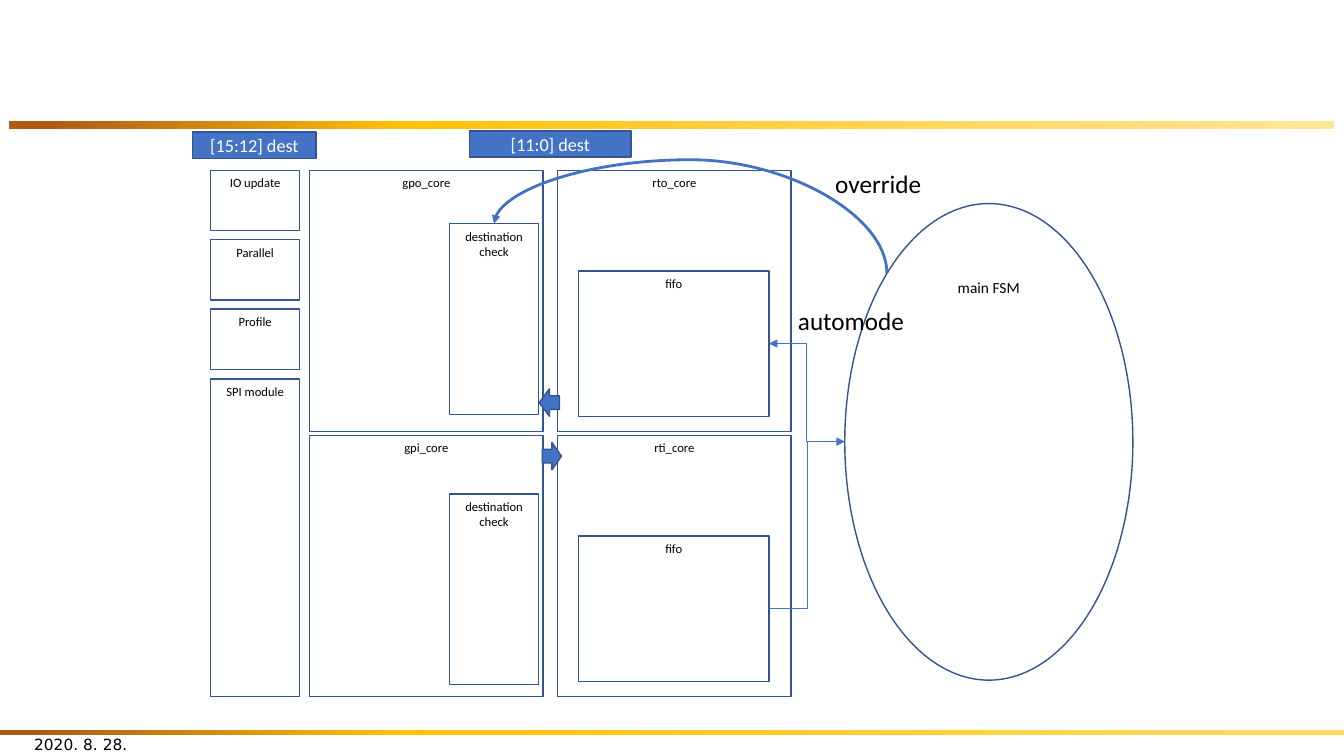
from lxml.etree import SubElement
from copy import deepcopy
from pptx import Presentation
from pptx.dml.color import RGBColor
from pptx.enum.shapes import MSO_CONNECTOR as LINK, MSO_SHAPE as SHAPE
from pptx.enum.text import MSO_ANCHOR as ANCHOR, MSO_AUTO_SIZE as AUTO, PP_ALIGN as ALIGN
from pptx.oxml.ns import qn
from pptx.util import Cm, Pt

BLUE = RGBColor(0x44, 0x72, 0xC4)
NAVY = RGBColor(0x32, 0x54, 0x91)
BLACK = RGBColor(0x00, 0x00, 0x00)
WHITE = RGBColor(0xFF, 0xFF, 0xFF)
BROWN = RGBColor(0xB0, 0x5A, 0x16)
GOLD = RGBColor(0xFF, 0xC2, 0x08)
PALE_GOLD = RGBColor(0xFF, 0xE6, 0x99)
SOFT_GOLD = RGBColor(0xFF, 0xD9, 0x66)


def apply_format(target, values):
    """Set every attribute named in values on target."""
    for name, value in values.items():
        setattr(target, name, value)


def write(shape, text, size, color=BLACK, font="Calibri", align=ALIGN.CENTER, **frame_format):
    """Write one formatted paragraph into a shape."""
    frame = shape.text_frame
    apply_format(frame, {"word_wrap": True, "vertical_anchor": ANCHOR.TOP, **frame_format})
    paragraph = frame.paragraphs[0]
    paragraph.alignment = align
    run = paragraph.add_run()
    run.text = text
    apply_format(run.font, {"size": Pt(size), "name": font})
    run.font.color.rgb = color


def add_block(slide, kind, box, fill=None):
    """Add an outlined shape, hollow unless a fill is given."""
    block = slide.shapes.add_shape(kind, *map(Cm, box))
    block.shadow.inherit = False
    if fill is None:
        block.fill.background()
    else:
        block.fill.solid()
        block.fill.fore_color.rgb = fill
    block.line.color.rgb = NAVY
    block.line.width = Pt(1)
    return block


def add_module(slide, name, *box):
    """Add a hollow module with its name at the top."""
    write(add_block(slide, SHAPE.RECTANGLE, box), name, 9)


def add_field(slide, name, *box):
    """Add a filled label for a range of bits."""
    field = add_block(slide, SHAPE.RECTANGLE, box, BLUE)
    write(field, name, 13, WHITE, vertical_anchor=ANCHOR.MIDDLE)


def add_band(slide, end_color, *box):
    """Add a horizontal gradient band."""
    band = slide.shapes.add_shape(SHAPE.RECTANGLE, *map(Cm, box))
    band.shadow.inherit = False
    band.line.fill.background()
    band.fill.gradient()
    band.fill.gradient_angle = 0
    stop_list = band._element.spPr.find(qn("a:gradFill")).find(qn("a:gsLst"))
    stop_list.append(deepcopy(stop_list[0]))
    colors = (BROWN, GOLD, end_color)
    for stop, position, color in zip(band.fill.gradient_stops, (0.03, 0.3, 1), colors):
        stop.position = position
        stop.color.rgb = color


def add_link(slide, kind, start, end, width):
    """Add a connector with an arrowhead at its end."""
    link = slide.shapes.add_connector(kind, *map(Cm, start + end))
    link.line.color.rgb = BLUE
    link.line.width = Pt(width)
    properties = link._element.spPr
    SubElement(properties.find(qn("a:ln")), qn("a:tailEnd"), type="triangle")
    SubElement(properties, qn("a:effectLst"))
    return properties


def add_arch(slide, start, end, bend):
    """Add a curved arrow that leaves and arrives vertically."""
    center_x, center_y = (start[0] + end[0]) / 2, (start[1] + end[1]) / 2
    half_span, half_rise = (start[0] - end[0]) / 2, (start[1] - end[1]) / 2
    properties = add_link(slide, LINK.CURVE, (center_x - half_rise, center_y + half_span),
                          (center_x + half_rise, center_y - half_span), 2)
    properties.find(qn("a:xfrm")).set("rot", str(270 * 60000))
    guides = properties.find(qn("a:prstGeom")).find(qn("a:avLst"))
    SubElement(guides, qn("a:gd"), name="adj1", fmla=f"val {bend}")


def add_label(slide, text, box, size, **text_format):
    """Add left-aligned free text."""
    label = slide.shapes.add_textbox(*map(Cm, box))
    write(label, text, size, align=ALIGN.LEFT, **text_format)


def main():
    """Build the block diagram slide."""
    deck = Presentation()
    apply_format(deck, {"slide_width": Cm(33.87), "slide_height": Cm(19.05)})
    slide = deck.slides.add_slide(deck.slide_layouts[6])

    add_band(slide, PALE_GOLD, 0.23, 3.05, 33.4, 0.2)
    add_band(slide, SOFT_GOLD, 0, 18.39, 33.87, 0.13)
    add_label(slide, "2020. 8. 28.", (0.61, 18.26, 7.62, 1.02), 11,
              font="DejaVu Sans", vertical_anchor=ANCHOR.MIDDLE)

    main_fsm = add_block(slide, SHAPE.OVAL, (21.29, 5.13, 7.26, 12.01))
    write(main_fsm, "main FSM", 11)

    for row, name in enumerate(("IO update", "Parallel", "Profile")):
        add_module(slide, name, 5.31, 4.29 + 1.75 * row, 2.24, 1.52)
    add_module(slide, "SPI module", 5.31, 9.55, 2.24, 8)

    fsm_left = (21.29, 11.13)
    core_rows = (("gpo_core", "rto_core", 4.29, 5.64), ("gpi_core", "rti_core", 10.97, 12.45))
    for gp_core, rt_core, core_top, check_top in core_rows:
        add_module(slide, gp_core, 7.8, core_top, 5.89, 6.58)
        add_module(slide, "destination check", 11.33, check_top, 2.24, 4.8)
        add_module(slide, rt_core, 14.05, core_top, 5.89, 6.58)
        add_module(slide, "fifo", 14.58, core_top + 2.54, 4.8, 3.66)

    add_link(slide, LINK.ELBOW, fsm_left, (19.38, 8.66), 0.5)
    add_link(slide, LINK.ELBOW, (19.38, 15.34), fsm_left, 0.5)
    add_block(slide, SHAPE.LEFT_ARROW, (13.59, 9.8, 0.51, 0.69), BLUE)
    add_block(slide, SHAPE.RIGHT_ARROW, (13.67, 11.15, 0.48, 0.69), BLUE)

    add_field(slide, "[11:0] dest", 11.84, 3.3, 4.06, 0.66)
    add_field(slide, "[15:12] dest", 4.85, 3.33, 3.12, 0.66)

    add_arch(slide, (22.35, 6.88), (12.45, 5.64), 230100)
    fit = {"word_wrap": False, "auto_size": AUTO.SHAPE_TO_FIT_TEXT}
    add_label(slide, "override", (20.8, 4.11, 2.69, 1.02), 18, **fit)
    add_label(slide, "automode", (19.86, 7.57, 3.23, 1.02), 18, **fit)

    deck.save("out.pptx")


if __name__ == "__main__":
    main()
